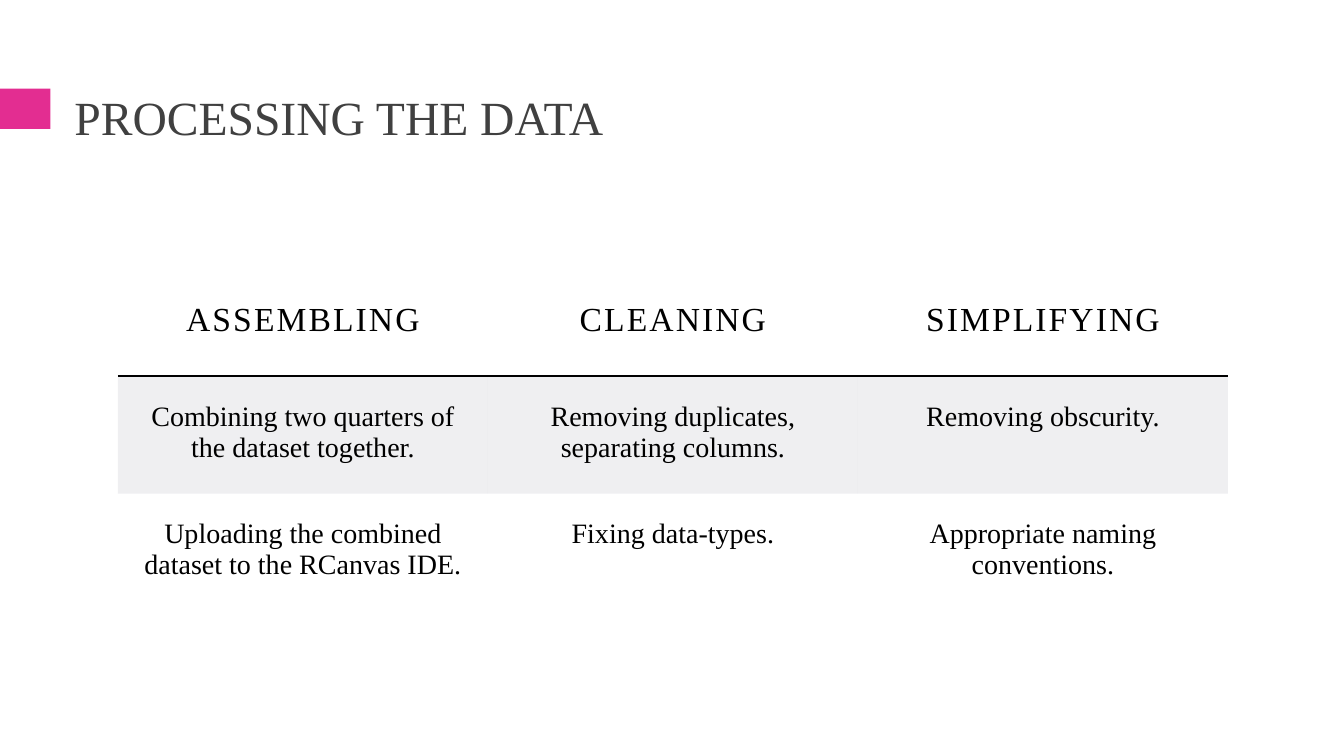
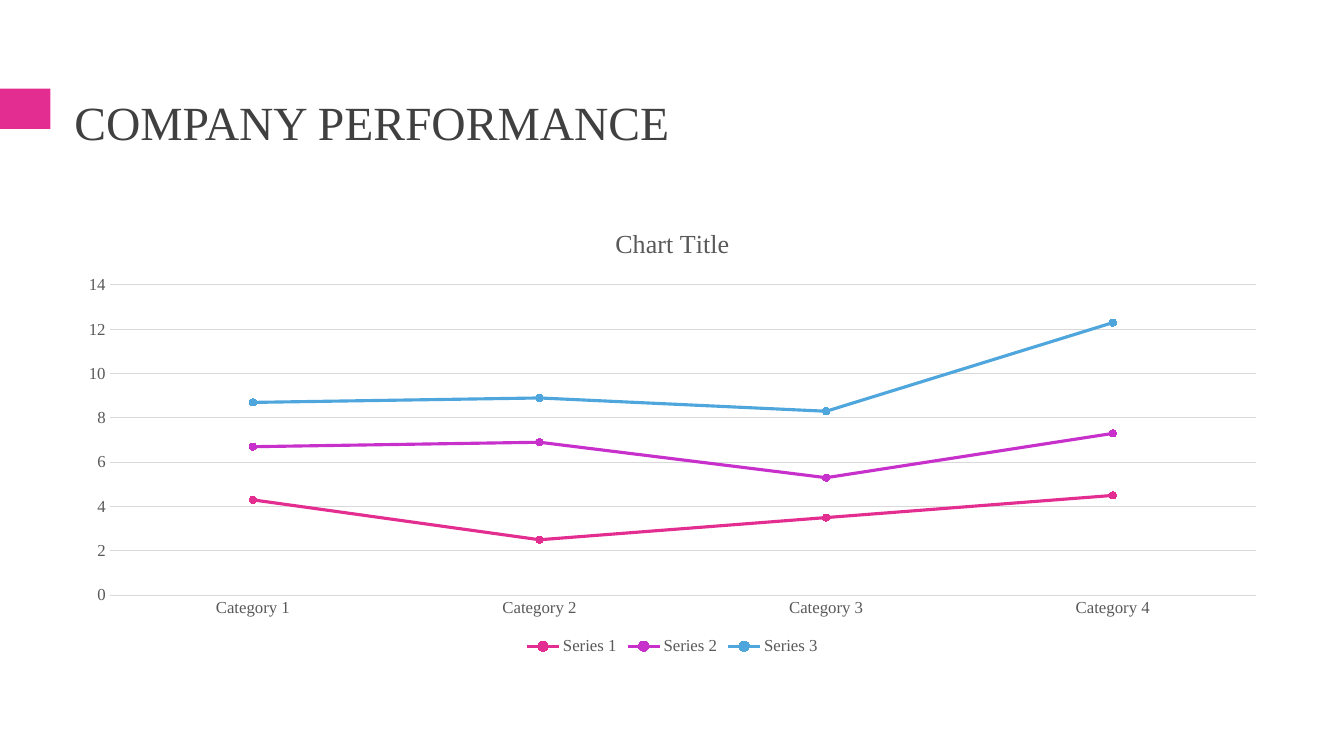
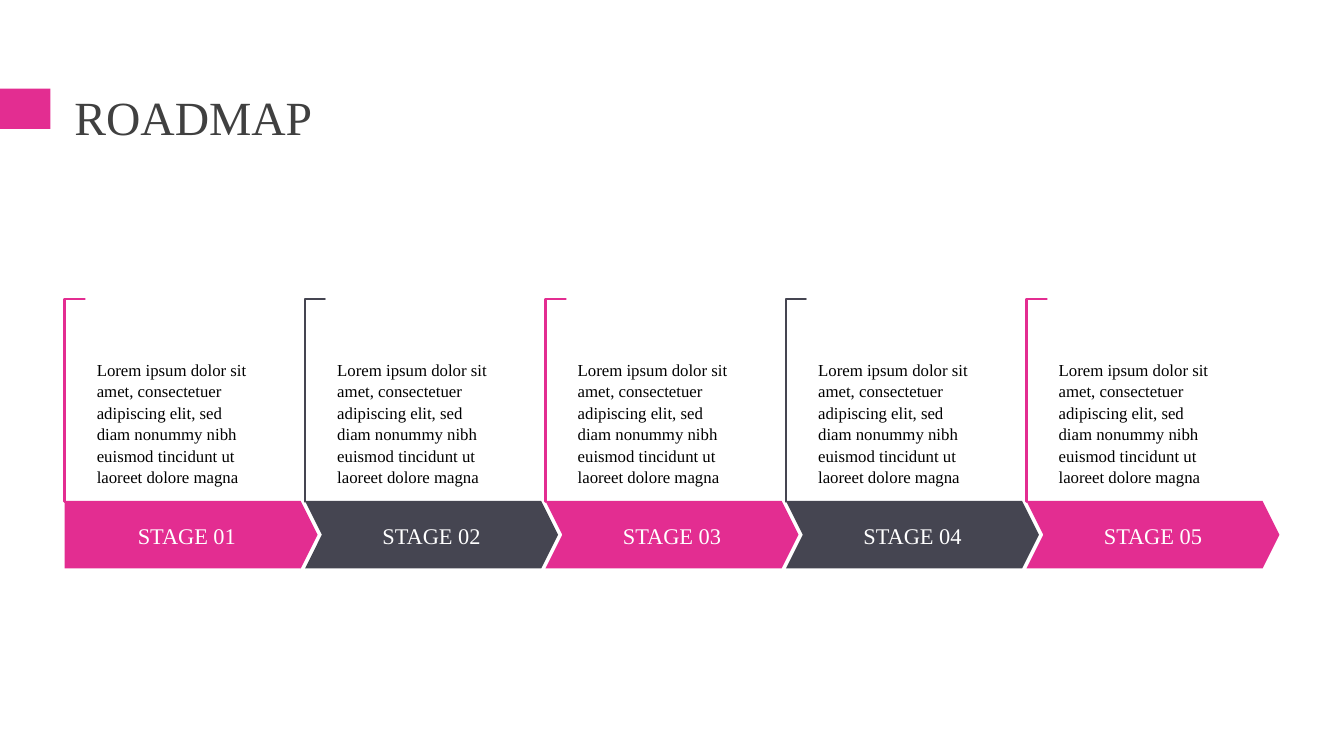
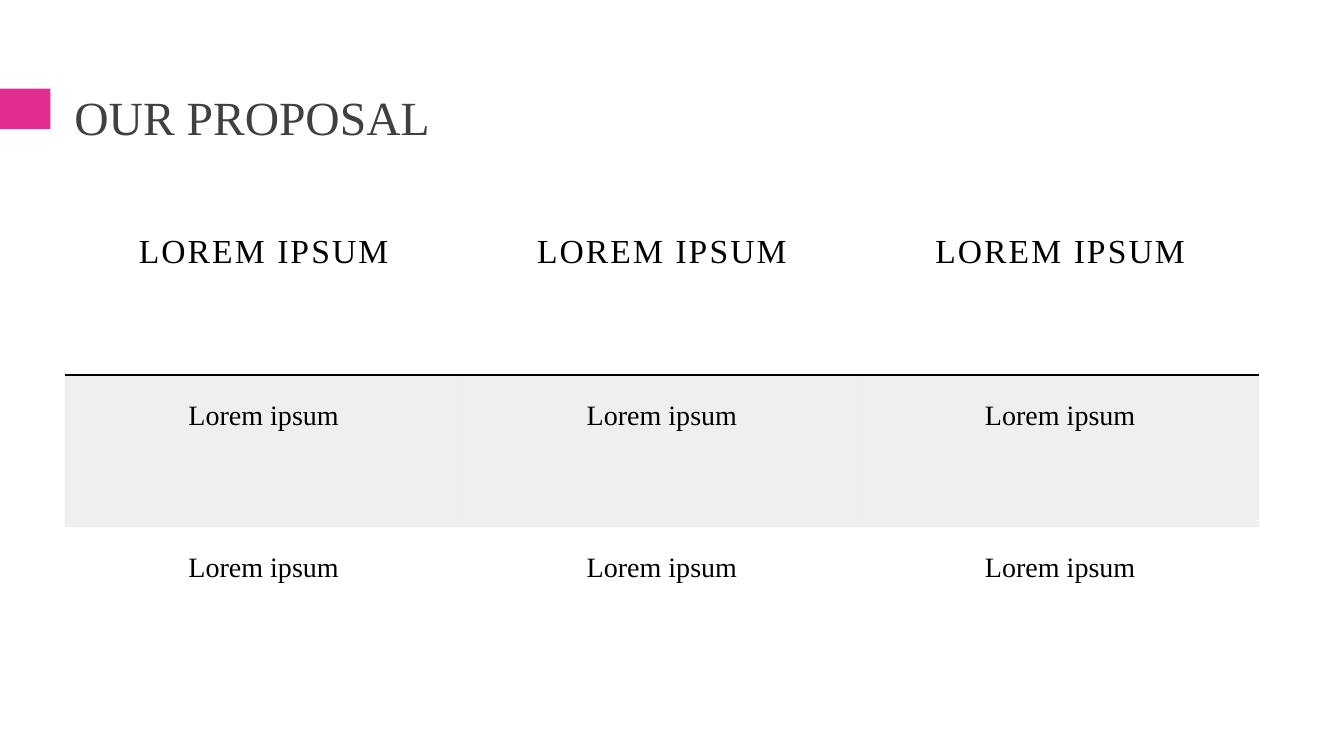
from lxml.etree import SubElement
from pptx import Presentation
from pptx.chart.data import CategoryChartData as ChartData
from pptx.dml.color import RGBColor
from pptx.enum.chart import XL_CHART_TYPE as ChartType
from pptx.enum.chart import XL_LEGEND_POSITION as LegendPosition
from pptx.enum.chart import XL_MARKER_STYLE as Marker
from pptx.enum.chart import XL_TICK_MARK as Tick
from pptx.enum.shapes import MSO_SHAPE as Shape
from pptx.enum.text import MSO_ANCHOR as Anchor
from pptx.enum.text import PP_ALIGN as Align
from pptx.oxml import parse_xml
from pptx.oxml.ns import nsdecls, qn
from pptx.util import Inches, Pt

FONT = "Times New Roman"
COLORS = {
    "pink": "E32D91",
    "purple": "C830CC",
    "blue": "4EA6DC",
    "slate": "454551",
    "band": "B1B1BD",
    "title": "404040",
    "label": "595959",
    "grid": "D9D9D9",
    "black": "000000",
    "white": "FFFFFF",
}
NO_STYLE = "{2D5ABB26-0587-4C30-8999-92F81FD0307C}"
LOREM = (
    "Lorem ipsum dolor sit amet, consectetuer adipiscing elit, sed diam "
    "nonummy nibh euismod tincidunt ut laoreet dolore magna"
)


def color(name):
    return RGBColor.from_string(COLORS[name])


def style_font(font, size, tint):
    font.name = FONT
    font.size = Pt(size)
    font.bold = False
    font.color.rgb = color(tint)


def write(frame, text, size=12, tint="black", align=Align.LEFT, line=1.0, spacing=0):
    para = frame.paragraphs[0]
    para.alignment = align
    para.line_spacing = line
    span = para.add_run()
    span.text = text
    style_font(span.font, size, tint)
    if spacing:
        span.font._element.set("spc", str(int(spacing * 100)))


def set_margins(target, left, top, right, bottom):
    target.margin_left, target.margin_top = Inches(left), Inches(top)
    target.margin_right, target.margin_bottom = Inches(right), Inches(bottom)


class Deck:
    def __init__(self):
        self.deck = Presentation()
        self.deck.slide_width = Inches(13.33)
        self.deck.slide_height = Inches(7.5)
        self.page = None

    def add_page(self, title, anchor=Anchor.TOP):
        self.page = self.deck.slides.add_slide(self.deck.slide_layouts[6])
        self.shape(Shape.RECTANGLE, 0, 0.88, 0.5, 0.4, fill="pink")
        self.text(title, 0.64, 0.77, 12.06, 0.81, anchor=anchor,
                  size=34, tint="title", line=1.1)

    def shape(self, kind, left, top, width, height, fill, outline=None, adjust=()):
        box = self.page.shapes.add_shape(
            kind, Inches(left), Inches(top), Inches(width), Inches(height))
        box.shadow.inherit = False
        box.fill.solid()
        box.fill.fore_color.rgb = color(fill)
        if outline:
            box.line.color.rgb = color(outline)
            box.line.width = Pt(1.75)
        else:
            box.line.fill.background()
        for index, value in enumerate(adjust):
            box.adjustments[index] = value
        return box

    def text(self, text, left, top, width, height, anchor=Anchor.TOP,
             margins=(0.1, 0.05, 0.1, 0.05), **style):
        box = self.page.shapes.add_textbox(
            Inches(left), Inches(top), Inches(width), Inches(height))
        frame = box.text_frame
        frame.word_wrap = True
        frame.vertical_anchor = anchor
        set_margins(frame, *margins)
        write(frame, text, **style)

    def table(self, rows, left, top, column_width, heights):
        columns = len(rows[0])
        table = self.page.shapes.add_table(
            len(rows), columns, Inches(left), Inches(top),
            Inches(column_width * columns), Inches(sum(heights))).table
        table._tbl.tblPr.find(qn("a:tableStyleId")).text = NO_STYLE
        table.horz_banding = False
        for column in table.columns:
            column.width = Inches(column_width)
        for index, (texts, height) in enumerate(zip(rows, heights)):
            table.rows[index].height = Inches(height)
            for cell, text in zip(table.rows[index].cells, texts):
                self.cell(cell, text, header=index == 0, banded=index % 2 == 1)

    def cell(self, cell, text, header, banded):
        set_margins(cell, 0.25, 0.25, 0.25, 0.25)
        write(cell.text_frame, text, size=24 if header else 20,
              align=Align.CENTER, spacing=1.5 if header else 0)
        if banded:
            cell.fill.solid()
            cell.fill.fore_color.rgb = color("band")
            tint = cell._tc.tcPr.find(".//" + qn("a:srgbClr"))
            SubElement(tint, qn("a:alpha")).set("val", "20000")
        else:
            cell.fill.background()
        if header:
            cell._tc.tcPr.insert(0, parse_xml(
                f'<a:lnB {nsdecls("a")} w="12700"><a:solidFill>'
                f'<a:srgbClr val="{COLORS["black"]}"/></a:solidFill></a:lnB>'))

    def line_chart(self, title, categories, series, left, top, width, height):
        data = ChartData()
        data.categories = categories
        for name, values, _ in series:
            data.add_series(name, values)
        chart = self.page.shapes.add_chart(
            ChartType.LINE_MARKERS_STACKED, Inches(left), Inches(top),
            Inches(width), Inches(height), data).chart
        style_font(chart.font, 12, "label")
        chart.has_title = True
        write(chart.chart_title.text_frame, title, size=18.6, tint="label",
              align=Align.CENTER)
        chart.has_legend = True
        chart.legend.position = LegendPosition.BOTTOM
        chart.legend.include_in_layout = False
        style_font(chart.legend.font, 12, "label")
        for axis in (chart.category_axis, chart.value_axis):
            axis.major_tick_mark = axis.minor_tick_mark = Tick.NONE
            style_font(axis.tick_labels.font, 12, "label")
        scale = chart.value_axis
        scale.minimum_scale, scale.maximum_scale, scale.major_unit = 0, 14, 2
        scale.format.line.fill.background()
        for rule in (scale.major_gridlines, chart.category_axis):
            rule.format.line.color.rgb = color("grid")
            rule.format.line.width = Pt(0.75)
        chart.plots[0].vary_by_categories = False
        for plotted, (_, _, tint) in zip(chart.plots[0].series, series):
            plotted.smooth = False
            plotted.format.line.color.rgb = color(tint)
            plotted.format.line.width = Pt(2.25)
            plotted.marker.style = Marker.CIRCLE
            plotted.marker.size = 5
            plotted.marker.format.fill.solid()
            plotted.marker.format.fill.fore_color.rgb = color(tint)
            plotted.marker.format.line.color.rgb = color(tint)

    def stage(self, label, body, left, tint, first):
        length, depth = 2.01, 0.2
        bracket = self.shape(
            Shape.CORNER, left + (depth - length) / 2, 3.87, length, depth,
            fill="white", outline=tint, adjust=(0.01, 0.01))
        bracket.rotation = 90
        arrow = self.shape(Shape.PENTAGON if first else Shape.CHEVRON,
                           left, 4.97, 2.51, 0.67, fill=tint, adjust=(0.25,))
        frame = arrow.text_frame
        frame.vertical_anchor = Anchor.MIDDLE
        set_margins(frame, 0.11, 0.1, 0.11, 0.1)
        write(frame, label, size=16, tint="white", align=Align.CENTER, line=1.07)
        self.text(body, left + 0.2, 3.08, 2.04, 1.31,
                  margins=(0.12, 0.47, 0.31, 0), line=1.07)

    def roadmap(self, count, left, step):
        for index in range(count):
            self.stage(f"STAGE {index + 1:02d}", LOREM, left + index * step,
                       "slate" if index % 2 else "pink", first=index == 0)


def main():
    deck = Deck()

    deck.add_page("PROCESSING THE DATA")
    deck.table([
        ["ASSEMBLING", "CLEANING", "SIMPLIFYING"],
        ["Combining two quarters of the dataset together.",
         "Removing duplicates, separating columns.", "Removing obscurity."],
        ["Uploading the combined dataset to the RCanvas IDE.",
         "Fixing data-types.", "Appropriate naming conventions."],
    ], 1.17, 2.74, 3.67, [0.99, 1.11, 1.11])

    deck.add_page("COMPANY PERFORMANCE", anchor=Anchor.MIDDLE)
    deck.line_chart(
        "Chart Title",
        [f"Category {number}" for number in range(1, 5)],
        [("Series 1", (4.3, 2.5, 3.5, 4.5), "pink"),
         ("Series 2", (2.4, 4.4, 1.8, 2.8), "purple"),
         ("Series 3", (2, 2, 3, 5), "blue")],
        0.64, 2.07, 12.06, 4.47)

    deck.add_page("ROADMAP")
    deck.roadmap(5, left=0.64, step=9.54 / 4)

    deck.add_page("OUR PROPOSAL")
    deck.table([["LOREM IPSUM"] * 3] + [["Lorem ipsum"] * 3] * 2,
               0.64, 2.07, 3.95, [1.65, 1.51, 1.51])

    deck.deck.save("out.pptx")


if __name__ == "__main__":
    main()
